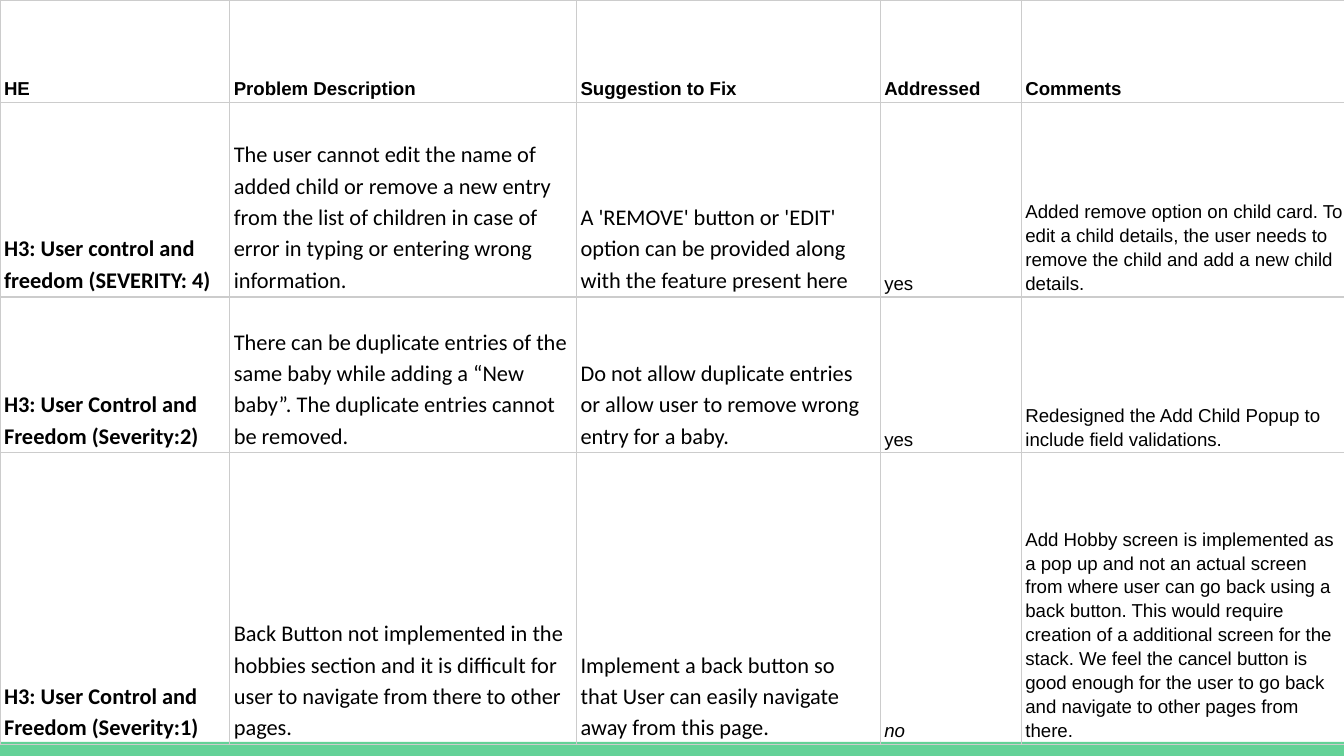
from lxml import etree
from pptx import Presentation
from pptx.dml.color import RGBColor
from pptx.enum import shapes, text
from pptx.oxml import ns
from pptx.util import Inches, Pt

COLORS = {"text": "000000", "grid": "CCCCCC", "band": "63D297"}
COLS = [1.71, 2.58, 2.26, 1.05, 2.43]
ROWS = [0.76, 1.45, 1.16, 2.17]
HEAD = ["HE", "Problem Description", "Suggestion to Fix", "Addressed", "Comments"]
ISSUES = [
    ["H3: User control and freedom (SEVERITY: 4)",
     "The user cannot edit the name of added child or remove a new entry from the list "
     "of children in case of error in typing or entering wrong information.",
     "A 'REMOVE' button or 'EDIT' option can be provided along with the feature present here",
     "yes",
     "Added remove option on child card. To edit a child details, the user needs to "
     "remove the child and add a new child details."],
    ["H3: User Control and Freedom (Severity:2)",
     "There can be duplicate entries of the same baby while adding a “New baby”. "
     "The duplicate entries cannot be removed.",
     "Do not allow duplicate entries or allow user to remove wrong entry for a baby.",
     "yes",
     "Redesigned the Add Child Popup to include field validations."],
    ["H3: User Control and Freedom (Severity:1)",
     "Back Button not implemented in the hobbies section and it is difficult for user "
     "to navigate from there to other pages.",
     "Implement a back button so that User can easily navigate away from this page.",
     "no",
     "Add Hobby screen is implemented as a pop up and not an actual screen from where "
     "user can go back using a back button. This would require creation of a additional "
     "screen for the stack. We feel the cancel button is good enough for the user to go "
     "back and navigate to other pages from there."],
]


def color(name):
    """Return a palette colour."""
    return RGBColor.from_string(COLORS[name])


def add_band(slide, left, top, width, height):
    """Draw the green band in the given box."""
    band = slide.shapes.add_shape(
        shapes.MSO_SHAPE.RECTANGLE, *map(Inches, (left, top, width, height)))
    band.shadow.inherit = False
    band.fill.solid()
    band.fill.fore_color.rgb = color("band")
    band.line.fill.background()


def set_grid(cell):
    """Give a cell thin borders and no fill."""
    props = cell._tc.get_or_add_tcPr()
    for side in "LRTB":
        line = etree.SubElement(props, ns.qn(f"a:ln{side}"), w=str(Pt(0.75)))
        fill = etree.SubElement(line, ns.qn("a:solidFill"))
        etree.SubElement(fill, ns.qn("a:srgbClr"), val=COLORS["grid"])
    cell.fill.background()


def fill_cell(cell, words, row, col):
    """Write and style one cell by its row and column."""
    set_grid(cell)
    cell.text = words
    cell.vertical_anchor = text.MSO_ANCHOR.BOTTOM
    cell.margin_left = cell.margin_right = Inches(0.03)
    cell.margin_top = cell.margin_bottom = Inches(0.02)
    para = cell.text_frame.paragraphs[0]
    large = row > 0 and col < 3
    if words != "no":
        para.line_spacing = 1.15
    font = para.font
    font.name = "Calibri" if large else "Arial"
    font.size = Pt(12 if large else 10)
    font.bold = row == 0 or col == 0
    font.italic = words == "no"
    font.color.rgb = color("text")


def add_issues(slide, left, top, width, height):
    """Place the table of issues in the given box."""
    table = slide.shapes.add_table(
        len(ROWS), len(COLS), *map(Inches, (left, top, width, height))).table
    table.first_row = table.horz_banding = False
    for col, size in zip(table.columns, COLS):
        col.width = Inches(size)
    for row, size in zip(table.rows, ROWS):
        row.height = Inches(size)
    for i, line in enumerate([HEAD, *ISSUES]):
        for j, words in enumerate(line):
            fill_cell(table.cell(i, j), words, i, j)


def main():
    """Build and save the slide."""
    deck = Presentation()
    deck.slide_width = Inches(10)
    deck.slide_height = deck.slide_width * 9 // 16
    slide = deck.slides.add_slide(deck.slide_layouts[6])
    add_band(slide, 0, 5.52, 10, 0.11)
    add_issues(slide, 0, 0, sum(COLS), sum(ROWS))
    deck.save("out.pptx")


if __name__ == "__main__":
    main()
